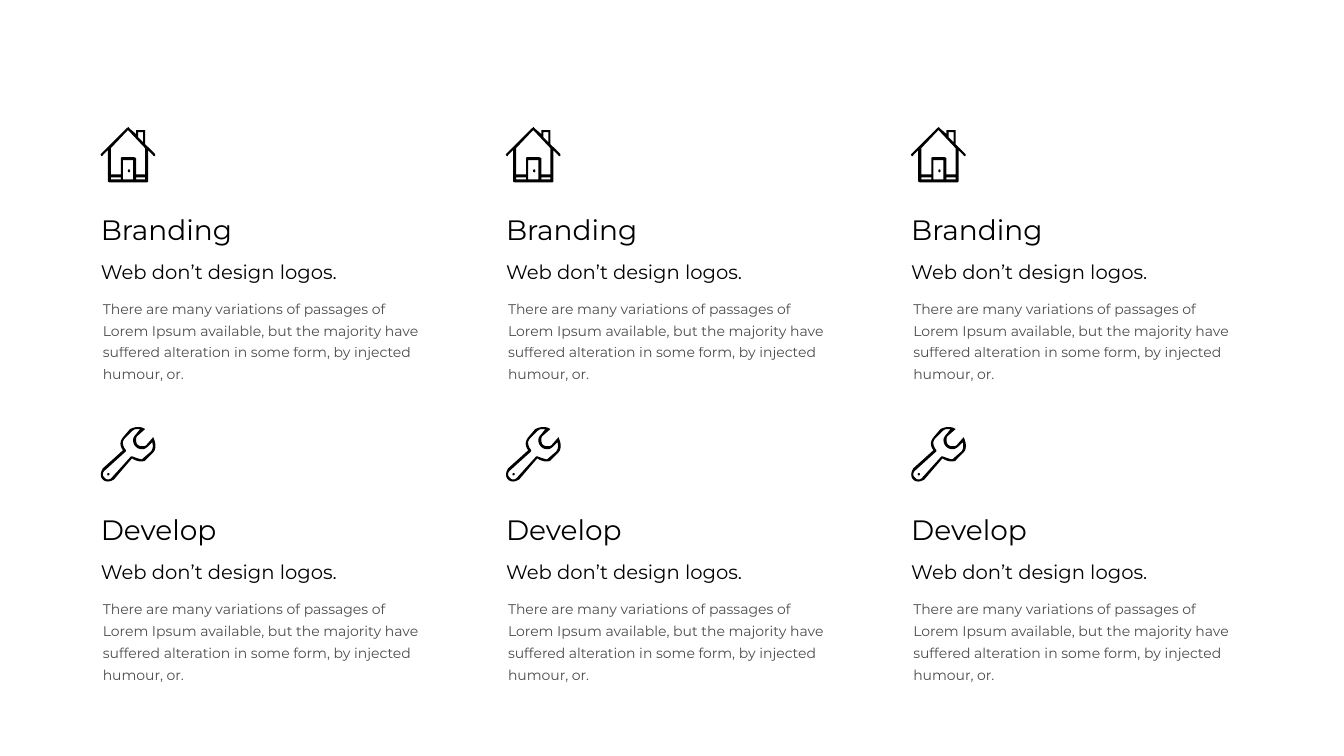
"""Build a slide of six service cards: three columns of branding over three of development."""
from dataclasses import dataclass

from lxml import etree
from pptx import Presentation
from pptx import util as u
from pptx.dml.color import RGBColor
from pptx.enum import text
from pptx.oxml import ns
from pptx.slide import Slide

COLORS = {"ink": "000000"}
FONT = "Montserrat"
SLIDE_WIDTH, SLIDE_HEIGHT = u.Inches(13.33), u.Inches(7.5)
COLUMN, ROW = SLIDE_WIDTH / 20, SLIDE_HEIGHT / 10
CARD_LEFT, CARD_TOP = 1.5, 1.68
CARD_COLUMNS, CARD_ROWS = 6.03, 3.97
CARDS_ACROSS = 3
ICON_UNITS_PER_INCH = 100
CURVE_STEPS = 6
PRECISION = 10

HOUSE = (
    "28,42 C 26.5,42 26.5,45 28,45 29.5,45 29.5,42 28,42",
    "44,47 35,47 35,31 C 35,31 34,30 33,30 L 21,30 C 20,30 20,31 20,31 "
    "L 20,47 10,47 10,21 27,3 44,21",
    "44,52 35,52 35,50 44,50",
    "32,52 22,52 22,33 32,33",
    "20,52 10,52 10,50 20,50",
    "37,5 42,5 42,15 37,10",
    "54,27 44,17 44,4 C 44,3 44,3 43,3 L 36,3 C 35,3 35,3 35,4 L 35,7 28,1 "
    "C 28,1 28,0 27,0 27,0 27,1 26,1 L 0,27 C 0,27 0,27 0,28 0,28 1,29 1,29 "
    "2,29 2,29 2,28 L 7,23 7,54 C 7,54 8,55 9,55 L 46,55 C 46,55 47,54 47,54 "
    "L 47,23 52,28 C 52,29 53,29 53,29 54,29 54,28 54,28",
)
WRENCH = (
    "7.5,45.5 C 6,45.5 6,48 7.5,48 9,48 9,45.5 7.5,45.5",
    "52,10 45,18 C 44,19 42,19 41,19 37,19 35,17 35,13 35,12 35,10 36,9 "
    "L 35,7 C 33,9 32,11 32,13 32,18 36,22 41,22 43,22 45,21 47,19 "
    "L 51,15 C 52,18 52,21 50,24 L 43,30 C 42,31 41,32 40,32 40,32 36,31 31,29 "
    "L 30,29 11,50 C 10,51 9,52 7,52 5,52 2,49 2,47 2,45 3,44 4,43 "
    "L 25,24 25,23 C 21,18 21,14 24,11 L 31,4 C 33,2 35,2 36,2 37,2 38,2 39,2 "
    "L 35,7 36,9 44,2 C 41,0 39,0 36,0 34,0 31,1 29,2 L 23,9 "
    "C 18,14 19,19 22,23 L 2,41 C 1,43 0,45 0,47 0,51 3,54 7,54 9,54 11,53 13,52 "
    "L 31,31 C 35,34 39,34 40,34 42,34 44,34 45,32 L 52,25 C 55,22 55,16 52,10",
)

Point = tuple[float, float]


@dataclass(frozen=True)
class Service:
    heading: str
    icon: tuple[str, ...]


@dataclass(frozen=True)
class TextStyle:
    left: float
    top: float
    width: float
    height: float
    size: int
    line_spacing: float
    opacity: int = 100


SERVICES = (Service("Branding", HOUSE), Service("Develop", WRENCH))
TAGLINE = "Web don’t design logos."
DESCRIPTION = (
    "There are many variations of passages of Lorem Ipsum available, but the majority "
    "have suffered alteration in some form, by injected humour, or."
)
HEADING_STYLE = TextStyle(0, 1.11, 4.94, 0.55, 20, 0.9)
DESCRIPTION_STYLE = TextStyle(0.03, 2.16, 4.92, 1.01, 10, 1.3, 70)
TAGLINE_STYLE = TextStyle(0, 1.73, 4.94, 0.43, 14, 0.9)


def bezier(start: Point, first: Point, second: Point, end: Point) -> list[Point]:
    points = []
    for step in range(1, CURVE_STEPS + 1):
        t = step / CURVE_STEPS
        weights = ((1 - t) ** 3, 3 * t * (1 - t) ** 2, 3 * t**2 * (1 - t), t**3)
        corners = (start, first, second, end)
        points.append(tuple(sum(w * c[axis] for w, c in zip(weights, corners)) for axis in (0, 1)))
    return points


def trace(outline: str) -> list[Point]:
    points: list[Point] = []
    controls: list[Point] = []
    curved = False
    for token in outline.split():
        if token in ("L", "C"):
            curved = token == "C"
            continue
        x, y = map(float, token.split(","))
        if not curved:
            points.append((x, y))
            continue
        controls.append((x, y))
        if len(controls) == 3:
            points += bezier(points[-1], *controls)
            controls = []
    return [(round(x * PRECISION), round(y * PRECISION)) for x, y in points]


def draw_icon(slide: Slide, outlines: tuple[str, ...], left: float, top: float) -> None:
    contours = [trace(outline) for outline in outlines]
    scale = u.Inches(1) / (ICON_UNITS_PER_INCH * PRECISION)
    builder = slide.shapes.build_freeform(*contours[0][0], scale=scale)
    builder.add_line_segments(contours[0][1:], close=True)
    for contour in contours[1:]:
        builder.move_to(*contour[0])
        builder.add_line_segments(contour[1:], close=True)
    icon = builder.convert_to_shape(round(left * COLUMN), round(top * ROW))
    icon.shadow.inherit = False
    icon.fill.solid()
    icon.fill.fore_color.rgb = RGBColor.from_string(COLORS["ink"])
    icon.line.fill.background()


def write(slide: Slide, words: str, style: TextStyle, left: float, top: float) -> None:
    box = slide.shapes.add_textbox(
        round((left + style.left) * COLUMN),
        round((top + style.top) * ROW),
        round(style.width * COLUMN),
        round(style.height * ROW),
    )
    frame = box.text_frame
    frame.word_wrap = True
    frame.auto_size = text.MSO_AUTO_SIZE.SHAPE_TO_FIT_TEXT
    frame.margin_left = frame.margin_right = 0
    frame.margin_top = frame.margin_bottom = u.Inches(0.05)
    paragraph = frame.paragraphs[0]
    paragraph.text = words
    paragraph.line_spacing = style.line_spacing
    font = paragraph.font
    font.name = FONT
    font.size = u.Pt(style.size)
    font.color.rgb = RGBColor.from_string(COLORS["ink"])
    if style.opacity < 100:
        for color in box.element.iter(ns.qn("a:srgbClr")):
            etree.SubElement(color, ns.qn("a:alpha"), val=str(style.opacity * 1000))


def draw_card(slide: Slide, service: Service, left: float, top: float) -> None:
    draw_icon(slide, service.icon, left, top)
    write(slide, service.heading, HEADING_STYLE, left, top)
    write(slide, TAGLINE, TAGLINE_STYLE, left, top)
    write(slide, DESCRIPTION, DESCRIPTION_STYLE, left, top)


def main() -> None:
    deck = Presentation()
    deck.slide_width, deck.slide_height = SLIDE_WIDTH, SLIDE_HEIGHT
    slide = deck.slides.add_slide(deck.slide_layouts[6])
    for across in range(CARDS_ACROSS):
        for down, service in enumerate(SERVICES):
            left = CARD_LEFT + across * CARD_COLUMNS
            top = CARD_TOP + down * CARD_ROWS
            draw_card(slide, service, left, top)
    deck.save("out.pptx")


if __name__ == "__main__":
    main()
